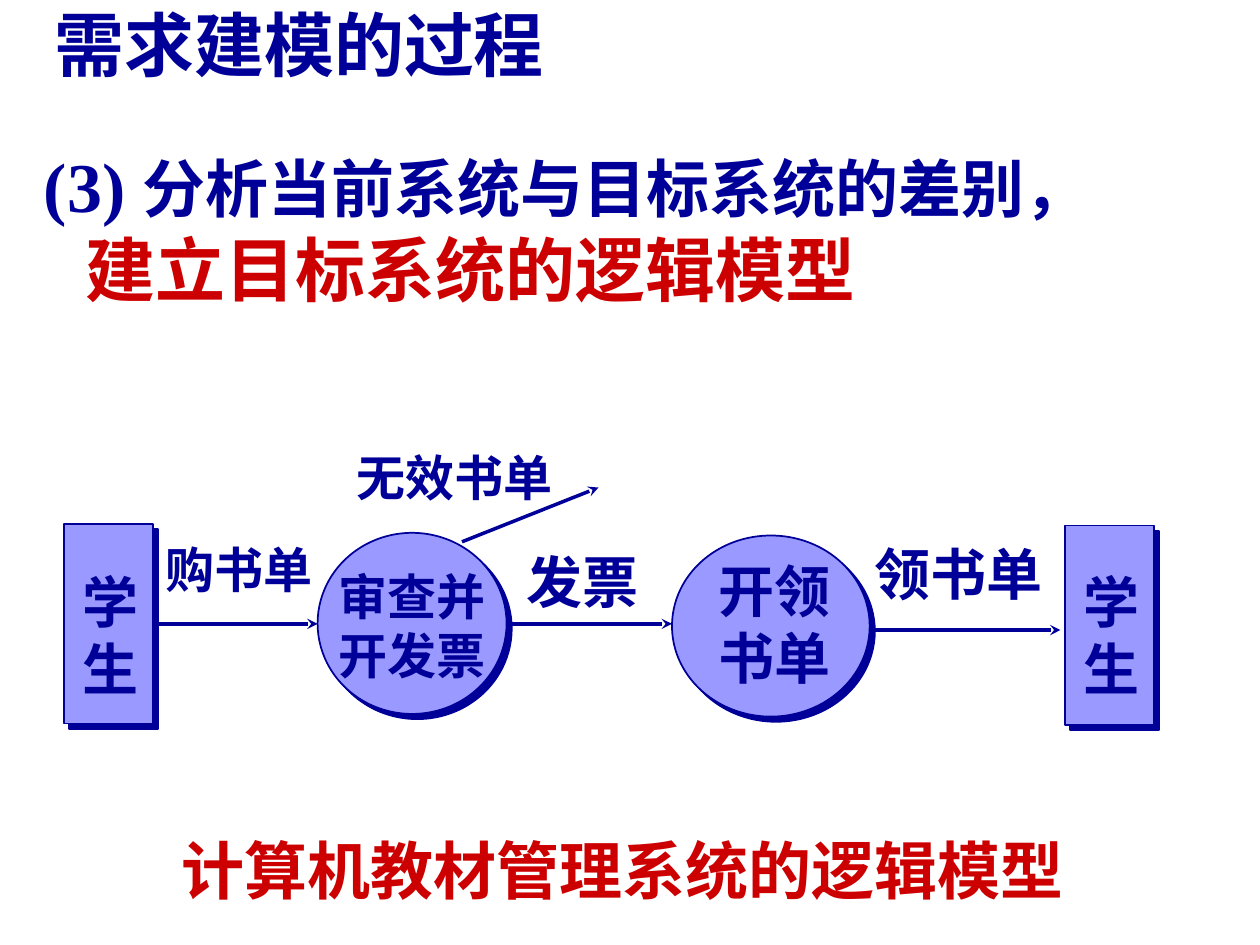
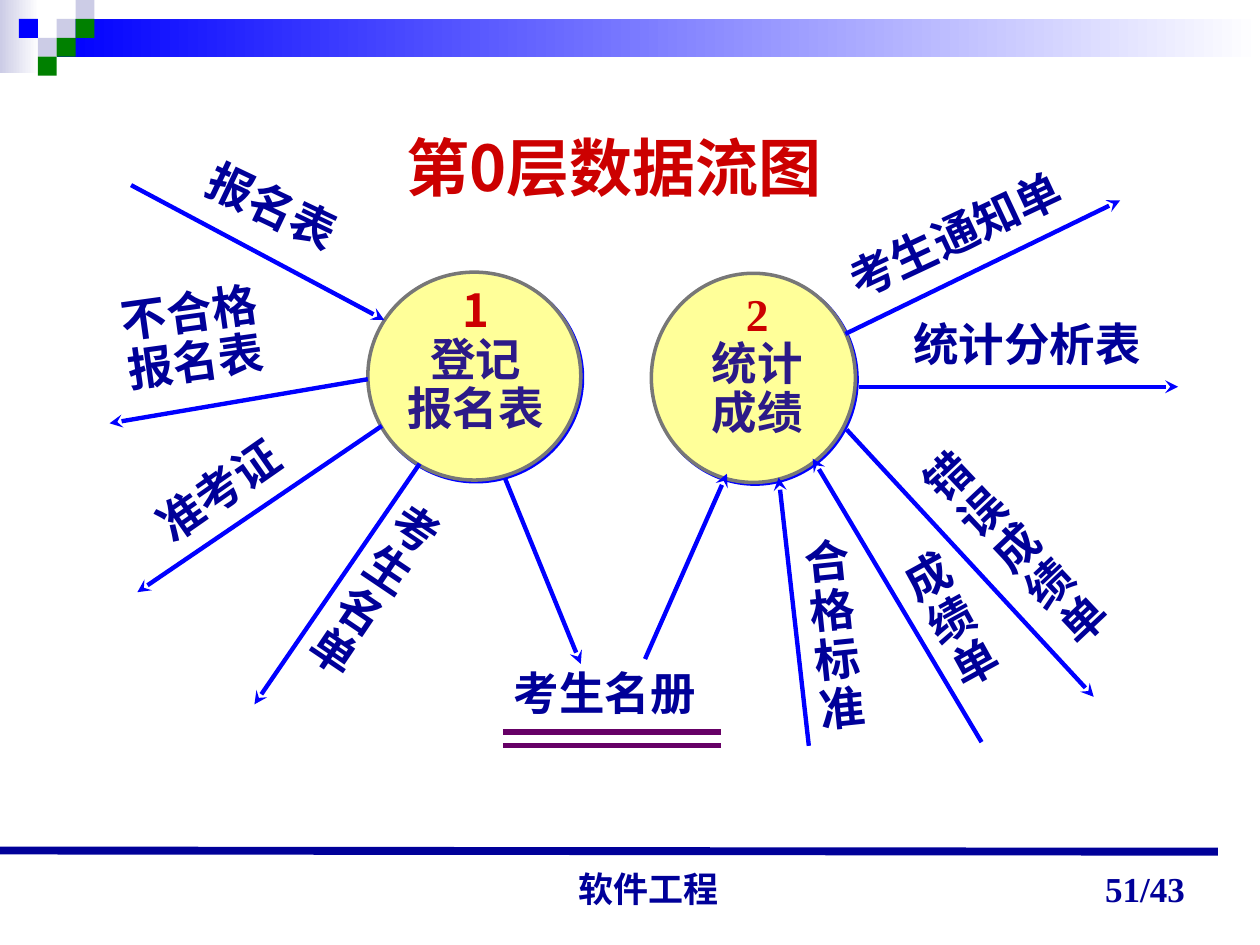
from dataclasses import dataclass

from lxml import etree
from pptx import Presentation
from pptx.dml.color import RGBColor
from pptx.enum.shapes import MSO_CONNECTOR, MSO_SHAPE
from pptx.enum.text import MSO_ANCHOR, MSO_AUTO_SIZE, PP_ALIGN
from pptx.oxml.ns import qn
from pptx.util import Pt

RECT, OVAL = MSO_SHAPE.RECTANGLE, MSO_SHAPE.OVAL
STRAIGHT = MSO_CONNECTOR.STRAIGHT
TOP, MIDDLE, BOTTOM = MSO_ANCHOR.TOP, MSO_ANCHOR.MIDDLE, MSO_ANCHOR.BOTTOM
LEFT, CENTER, RIGHT = PP_ALIGN.LEFT, PP_ALIGN.CENTER, PP_ALIGN.RIGHT
GROW, FIXED = MSO_AUTO_SIZE.SHAPE_TO_FIT_TEXT, MSO_AUTO_SIZE.NONE

NAVY = RGBColor(0x00, 0x00, 0x99)
RED = RGBColor(0xCC, 0x00, 0x00)
BLUE = RGBColor(0x00, 0x00, 0xFF)
VIOLET = RGBColor(0x99, 0x99, 0xFF)
LILAC = RGBColor(0xCC, 0xCC, 0xE6)
GREEN = RGBColor(0x00, 0x80, 0x00)
YELLOW = RGBColor(0xFF, 0xFF, 0x99)
GRAY = RGBColor(0x77, 0x77, 0x77)
INDIGO = RGBColor(0x2C, 0x1A, 0x88)
PURPLE = RGBColor(0x66, 0x00, 0x66)
WHITE = RGBColor(0xFF, 0xFF, 0xFF)

HAN, SERIF, SANS = "Noto Sans CJK SC", "Times New Roman", "Arial"
TILE = 10.8


@dataclass
class Label:
    x: float
    y: float
    w: float
    h: float
    text: str
    size: float = 26
    color: RGBColor = NAVY
    turn: float = 0
    align: PP_ALIGN = LEFT
    pitch: float = 1
    face: str = HAN
    anchor: MSO_ANCHOR = TOP
    wrap: bool = True
    fit: MSO_AUTO_SIZE = GROW


@dataclass
class Node:
    kind: MSO_SHAPE
    x: float
    y: float
    w: float
    h: float


@dataclass
class Look:
    fill: RGBColor
    edge: RGBColor
    width: float
    shade: RGBColor
    depth: float


@dataclass
class Flow:
    x1: float
    y1: float
    x2: float
    y2: float


STEP = Look(VIOLET, NAVY, 1, NAVY, 4.2)
PROCESS = Look(YELLOW, GRAY, 2, BLUE, 1.4)


def style(run, size: float, color: RGBColor, face: str = HAN) -> None:
    font = run.font
    font.size, font.bold, font.name = Pt(size), True, face
    font.color.rgb = color
    east = etree.SubElement(run._r.get_or_add_rPr(), qn("a:ea"))
    east.set("typeface", HAN)


def add_label(slide, label: Label):
    box = slide.shapes.add_textbox(Pt(label.x), Pt(label.y), Pt(label.w), Pt(label.h))
    box.rotation = label.turn
    frame = box.text_frame
    frame.text = label.text
    frame.word_wrap = label.wrap
    frame.auto_size = label.fit
    frame.vertical_anchor = label.anchor
    for para in frame.paragraphs:
        para.alignment = label.align
        para.line_spacing = label.pitch
        for run in para.runs:
            style(run, label.size, label.color, label.face)
    return box


def add_node(slide, node: Node, look: Look):
    shape = slide.shapes.add_shape(node.kind, Pt(node.x), Pt(node.y), Pt(node.w), Pt(node.h))
    shape.fill.solid()
    shape.fill.fore_color.rgb = look.fill
    shape.line.color.rgb = look.edge
    shape.line.width = Pt(look.width)
    shape.shadow.inherit = False
    effects = shape._element.spPr.find(qn("a:effectLst"))
    shade = etree.SubElement(effects, qn("a:outerShdw"), dist=str(int(Pt(look.depth))),
                             dir="2700000", algn="ctr", rotWithShape="0")
    etree.SubElement(shade, qn("a:srgbClr"), val=str(look.shade))
    return shape


def add_line(slide, flow: Flow, color: RGBColor, width: float, arrow: bool = True):
    line = slide.shapes.add_connector(STRAIGHT, Pt(flow.x1), Pt(flow.y1), Pt(flow.x2), Pt(flow.y2))
    line.line.color.rgb = color
    line.line.width = Pt(width)
    if arrow:
        etree.SubElement(line.line._get_or_add_ln(), qn("a:tailEnd"), type="stealth")
    etree.SubElement(line._element.spPr, qn("a:effectLst"))
    return line


def add_block(slide, x: float, y: float, w: float, h: float, color: RGBColor, fade: bool = False) -> None:
    """Draw a borderless rectangle, solid or fading to white on the right."""
    block = slide.shapes.add_shape(RECT, Pt(x), Pt(y), Pt(w), Pt(h))
    block.shadow.inherit = False
    block.line.fill.background()
    if fade:
        block.fill.gradient()
        block.fill.gradient_angle = 0
        for stop, tint in zip(block.fill.gradient_stops, (color, WHITE)):
            stop.color.rgb = tint
    else:
        block.fill.solid()
        block.fill.fore_color.rgb = color


def add_frame(slide) -> None:
    """Draw the top band with its tiles, and the footer."""
    add_block(slide, 0, 0, 22.3, 41.8, LILAC, fade=True)
    add_block(slide, 3 * TILE, TILE, 720 - 3 * TILE, 2 * TILE, BLUE, fade=True)
    tiles = ((3, 1, LILAC), (4, 0, LILAC), (4, 1, GREEN), (2, 2, LILAC),
             (1, 1, BLUE), (3, 2, GREEN), (2, 3, GREEN))
    for col, row, color in tiles:
        add_block(slide, col * TILE, row * TILE, TILE, TILE, color)
    add_line(slide, Flow(0, 486, 696, 486.7), NAVY, 4.5, arrow=False)
    add_label(slide, Label(256.3, 493.9, 228.2, 29.5, "软件工程", 20, align=CENTER,
                           face=SANS, anchor=BOTTOM, fit=FIXED))
    add_label(slide, Label(516.2, 487.4, 168, 36, "51/43", 20, align=RIGHT,
                           face=SERIF, anchor=BOTTOM, fit=FIXED))


def add_goal(slide) -> None:
    """Write the two-line statement under the title."""
    box = add_label(slide, Label(18, 78, 696, 138, "", fit=FIXED))
    frame = box.text_frame
    lines = (
        (27, -27, (("(3) ", 40, NAVY, SERIF), ("分析当前系统与目标系统的差别，", 36, NAVY, HAN))),
        (24, 0, (("建立目标系统的逻辑模型", 40, RED, HAN),)),
    )
    for row, (margin, indent, parts) in enumerate(lines):
        para = frame.add_paragraph() if row else frame.paragraphs[0]
        props = para._p.get_or_add_pPr()
        props.set("marL", str(int(Pt(margin))))
        props.set("indent", str(int(Pt(indent))))
        for text, size, color, face in parts:
            run = para.add_run()
            run.text = text
            style(run, size, color, face)


def build_model(slide) -> None:
    add_label(slide, Label(24, 0, 600, 50, "需求建模的过程", 40, face=SERIF, anchor=MIDDLE, fit=FIXED))
    add_goal(slide)
    add_label(slide, Label(96.5, 471.6, 518.4, 50.4, "计算机教材管理系统的逻辑模型", 36, RED, wrap=False))

    buyer = add_node(slide, Node(RECT, 36.5, 299.5, 51, 114), STEP)
    for node in (Node(OVAL, 181.5, 304.5, 108, 103.5),
                 Node(OVAL, 384, 306, 113, 103.5),
                 Node(RECT, 608.5, 300.3, 51, 114)):
        add_node(slide, node, STEP)

    first = add_line(slide, Flow(87.5, 356.5, 181.5, 356.5), NAVY, 2)
    first.begin_connect(buyer, 3)
    for flow in (Flow(290, 356.5, 384, 356.5), Flow(498, 360, 606, 360), Flow(264, 309.6, 342, 278.6)):
        add_line(slide, flow, NAVY, 2)

    for label in (
        Label(40, 320.5, 47.5, 84, "学\n生", 32),
        Label(612, 320.5, 47.5, 84, "学\n生", 32),
        Label(87.3, 304.5, 98.5, 41, "购书单", 28, wrap=False),
        Label(293.8, 309.6, 89.3, 45.4, "发票", 32),
        Label(492.5, 304.5, 115.2, 45.4, "领书单", 32),
        Label(186.5, 320.4, 120.2, 75, "审查并\n开发票", 28),
        Label(403.2, 314.6, 78.5, 84, "开领\n书单", 32, wrap=False),
        Label(196.6, 252, 152, 41, "无效书单", 28),
    ):
        add_label(slide, label)


def build_diagram(slide) -> None:
    add_frame(slide)
    add_label(slide, Label(182.9, 69.8, 336.2, 50.4, "第0层数据流图", 36, RED, align=CENTER))

    circles = (
        (Node(OVAL, 210.2, 155.5, 121.7, 118.8),
         Label(213.8, 161.3, 116, 91.4, "1\n登记\n报名表", color=INDIGO, align=CENTER, pitch=0.9), HAN),
        (Node(OVAL, 372.2, 156.2, 116.6, 119.5),
         Label(389.5, 163.4, 86.4, 91.4, "2\n统计\n成绩", color=INDIGO, align=CENTER, pitch=0.9), SERIF),
    )
    for node, label, face in circles:
        add_node(slide, node, PROCESS)
        digit = add_label(slide, label).text_frame.paragraphs[0].runs[0].font
        digit.color.rgb, digit.name = RED, face

    for flow in (
        Flow(74.9, 105.8, 219.6, 182.9),
        Flow(210.2, 216.7, 62.6, 241.9),
        Flow(218.2, 243.4, 78.5, 338.4),
        Flow(239.8, 265, 145.4, 402.5),
        Flow(288.7, 273.6, 331.9, 379.4),
        Flow(368.6, 376.6, 415.4, 270.7),
        Flow(483.1, 190.8, 640.1, 114.5),
        Flow(491, 221, 673.2, 221),
        Flow(483.8, 245.5, 625, 398.2),
        Flow(560.9, 424.1, 464.4, 262.1),
        Flow(462.2, 426.2, 445, 272.9),
    ):
        add_line(slide, flow, BLUE, 2.5)
    for y in (418.3, 426.2):
        add_line(slide, Flow(287.3, y, 411.8, y), PURPLE, 3, arrow=False)

    for label in (
        Label(109.4, 100.8, 103, 38.2, "报名表", turn=25.5),
        Label(64.1, 161.3, 105.1, 63.4, "不合格\n报名表", turn=352.1, pitch=0.9),
        Label(77, 255.6, 109.4, 38.2, "准考证", turn=325.1),
        Label(193, 280.1, 44.6, 119.5, "考生名\n单", turn=34.1, pitch=0.9),
        Label(286.6, 376.6, 118.8, 38.2, "考生名册", wrap=False),
        Label(473, 111.6, 157.7, 38.2, "考生通知单", turn=334.9),
        Label(514.8, 177.1, 197.3, 38.2, "统计分析表"),
        Label(560.9, 239, 43.9, 147.6, "错误成绩单", turn=316.7, pitch=0.9),
        Label(524.2, 308.9, 43.9, 91.4, "成绩单", turn=331.2, pitch=0.9),
        Label(457.2, 303.8, 51.8, 119.5, "合\n格\n标\n准", turn=354.1, pitch=0.9),
    ):
        add_label(slide, label)


def main() -> None:
    deck = Presentation()
    deck.slide_width, deck.slide_height = Pt(720), Pt(540)
    for build in (build_model, build_diagram):
        build(deck.slides.add_slide(deck.slide_layouts[6]))
    deck.save("out.pptx")


if __name__ == "__main__":
    main()
